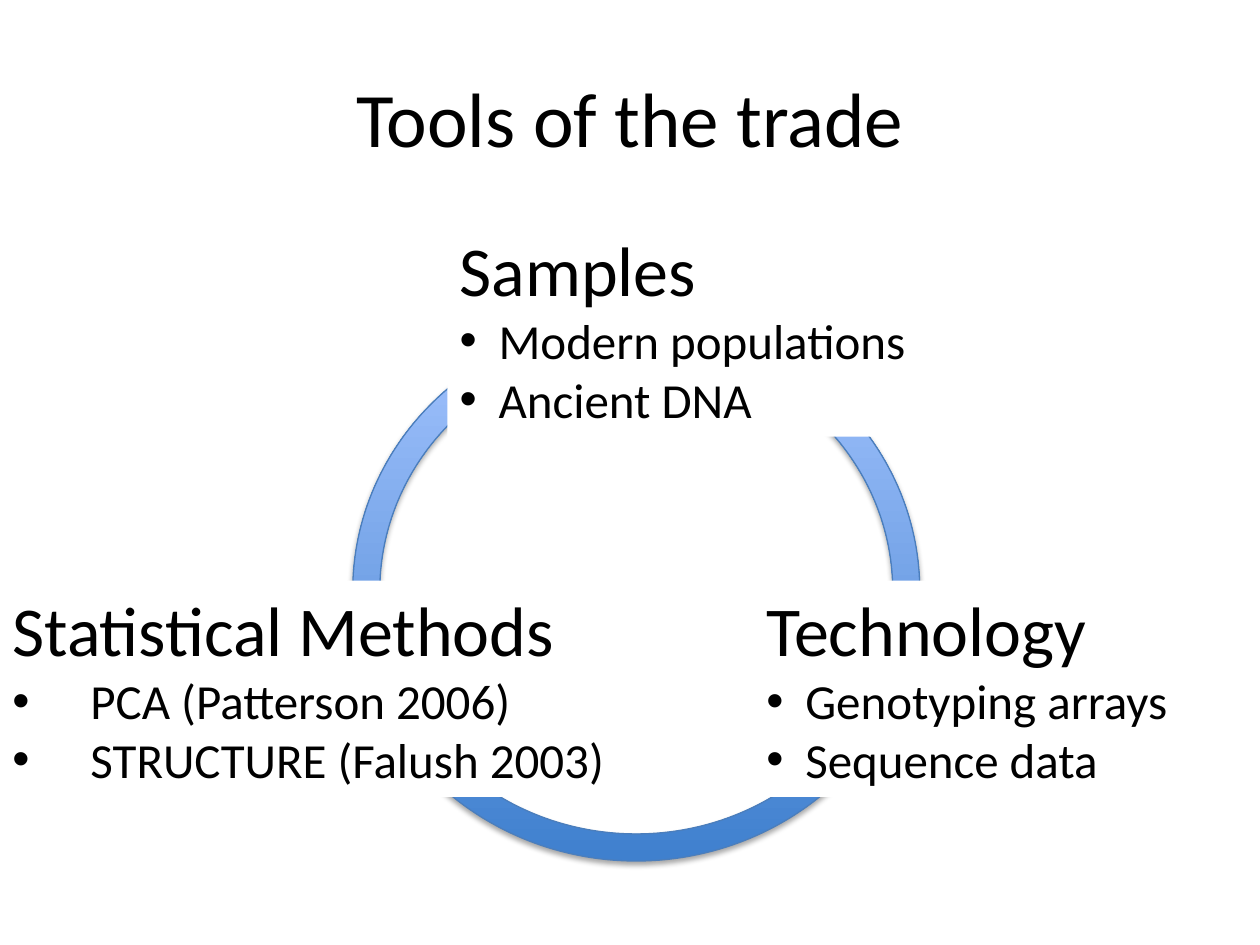
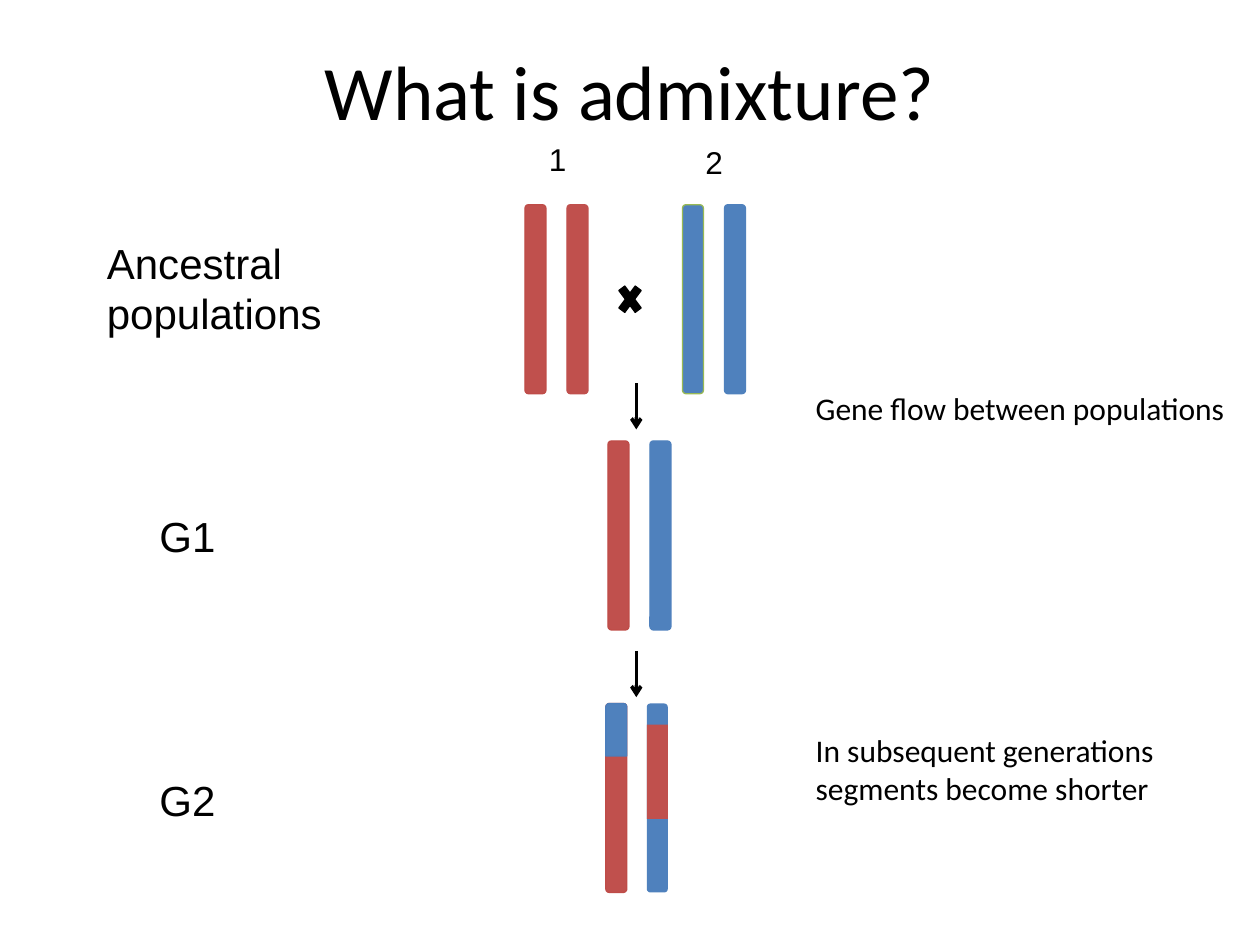
from dataclasses import dataclass
from typing import Optional

from lxml.etree import SubElement
from pptx import Presentation
from pptx.dml.color import RGBColor
from pptx.enum.shapes import MSO_CONNECTOR, MSO_SHAPE
from pptx.enum.text import MSO_ANCHOR, MSO_AUTO_SIZE, PP_ALIGN
from pptx.oxml.ns import qn
from pptx.util import Emu, Inches, Pt

COLS, ROWS = 120, 90  # the slide grid; every cell is square
CELL = Inches(10) // COLS


@dataclass(frozen=True)
class Theme:
    text: str = "000000"
    paper: str = "FFFFFF"
    red: str = "C0504D"
    red_edge: str = "BF4C48"
    blue: str = "4F81BD"
    blue_edge: str = "4B7EBC"
    green_edge: str = "98B955"
    ring_dark: str = "3F80CE"
    ring_light: str = "A4C4FF"
    body_font: str = "Calibri"
    label_font: str = "Arial"
    title_size: float = 44
    heading_size: float = 40
    bullet_size: float = 28
    label_size: float = 24
    note_size: float = 18
    thin: float = 0.75
    arrow: float = 2


T = Theme()


@dataclass(frozen=True)
class Box:
    """A place on the grid, in columns and rows."""
    col: float
    row: float
    cols: float
    rows: float

    def emu(self) -> tuple[Emu, ...]:
        return tuple(grid(n) for n in (self.col, self.row, self.cols, self.rows))


@dataclass(frozen=True)
class Tool:
    heading: str
    bullets: tuple[str, ...]
    box: Box
    indent: float = 0.31
    wrap: bool = False


@dataclass(frozen=True)
class Segment:
    """A chromosome, or a stretch of one."""
    col: float
    row: float
    fill: str
    line: Optional[str] = None
    rows: float = 18
    kind: MSO_SHAPE = MSO_SHAPE.ROUNDED_RECTANGLE


@dataclass(frozen=True)
class Label:
    text: str
    box: Box
    size: float = T.label_size
    font: str = T.label_font
    wrap: bool = True


TOOLS = (
    Tool("Samples", ("Modern populations", "Ancient DNA"),
         Box(42.6, 21, 45.1, 20.6)),
    Tool("Statistical Methods", ("PCA (Patterson 2006)", "STRUCTURE (Falush 2003)"),
         Box(0, 55.3, 61.4, 20.6), indent=0.62, wrap=True),
    Tool("Technology", ("Genotyping arrays", "Sequence data"),
         Box(71.8, 55.3, 41.2, 20.6)),
)

ANCESTORS, G1, G2 = 19.5, 42, 67  # top row of each generation
SEGMENTS = (
    Segment(50, ANCESTORS, T.red, T.red_edge),
    Segment(54, ANCESTORS, T.red, T.red),
    Segment(65, ANCESTORS, T.blue, T.green_edge),
    Segment(69, ANCESTORS, T.blue, T.blue),
    Segment(57.9, G1, T.red, T.red_edge),
    Segment(61.9, G1, T.blue, T.blue),
    Segment(57.7, G2, T.red, T.red_edge),
    Segment(61.6, G2, T.blue),
    Segment(61.6, G2 + 2, T.red, rows=9, kind=MSO_SHAPE.RECTANGLE),
    Segment(57.7, G2, T.blue, T.blue_edge, rows=5,
            kind=MSO_SHAPE.ROUND_2_SAME_RECTANGLE),
)

LABELS = (
    Label("Ancestral populations", Box(9, 22, 28, 11)),
    Label("G1", Box(14, 48, 10, 6)),
    Label("G2", Box(14, 73.2, 12.6, 6)),
    Label("1", Box(51.1, 12.7, 4, 8.5), T.note_size),
    Label("2", Box(66, 13, 4, 8.5), T.note_size),
    Label("Gene flow between populations", Box(76.5, 36.5, 41.9, 4.8),
          T.note_size, T.body_font, wrap=False),
    Label("In subsequent generations segments become shorter",
          Box(76.5, 69, 40, 8.5), T.note_size, T.body_font),
)


def grid(n: float) -> Emu:
    return Emu(round(n * CELL))


def rgb(color: str) -> RGBColor:
    return RGBColor.from_string(color)


def write(p, text: str, *, size: float, font: str = T.body_font,
          color: str = T.text, align=PP_ALIGN.LEFT, indent: float = 0) -> None:
    """Put formatted text in a paragraph; an indent makes it a bullet."""
    p.alignment = align
    if indent:
        pPr = p._p.get_or_add_pPr()
        pPr.set("marL", str(Inches(indent)))
        pPr.set("indent", str(-Inches(indent)))
        SubElement(pPr, qn("a:buFont")).set("typeface", T.label_font)
        SubElement(pPr, qn("a:buChar")).set("char", "•")
    r = p.add_run()
    r.text = text
    r.font.size = Pt(size)
    r.font.name = font
    r.font.color.rgb = rgb(color)


def add_text_box(slide, box: Box, wrap: bool = True):
    sp = slide.shapes.add_textbox(*box.emu())
    sp.text_frame.word_wrap = wrap
    sp.text_frame.auto_size = MSO_AUTO_SIZE.SHAPE_TO_FIT_TEXT
    return sp


def add_title(slide, text: str, row: float) -> None:
    tf = add_text_box(slide, Box(6, row, COLS - 12, 15)).text_frame
    tf.auto_size = MSO_AUTO_SIZE.NONE
    tf.vertical_anchor = MSO_ANCHOR.MIDDLE
    write(tf.paragraphs[0], text, size=T.title_size, align=PP_ALIGN.CENTER)


def add_figure(slide, kind: MSO_SHAPE, box: Box, fill: str, line: Optional[str]):
    sp = slide.shapes.add_shape(kind, *box.emu())
    sp.shadow.inherit = False
    sp.fill.solid()
    sp.fill.fore_color.rgb = rgb(fill)
    if line:
        sp.line.color.rgb = rgb(line)
        sp.line.width = Pt(T.thin)
    else:
        sp.line.fill.background()
    return sp


def add_ring(slide) -> None:
    """Draw the shaded ring with its soft shadow below."""
    sp = add_figure(slide, MSO_SHAPE.DONUT, Box(33.6, 30.5, 54, 51.5),
                    T.ring_dark, T.blue_edge)
    sp.adjustments[0] = 0.05
    sp.fill.gradient()
    sp.fill.gradient_angle = 90
    for stop, color in zip(sp.fill.gradient_stops, (T.ring_dark, T.ring_light)):
        stop.color.rgb = rgb(color)
    effects = sp._element.spPr.find(qn("a:effectLst"))
    shadow = SubElement(effects, qn("a:outerShdw"), blurRad=str(Pt(3.1)),
                        dist=str(Pt(1.8)), dir="5400000", rotWithShape="0")
    color = SubElement(shadow, qn("a:srgbClr"), val=T.text)
    SubElement(color, qn("a:alpha"), val="35000")


def add_tool(slide, tool: Tool) -> None:
    sp = add_text_box(slide, tool.box, tool.wrap)
    sp.fill.solid()
    sp.fill.fore_color.rgb = rgb(T.paper)
    tf = sp.text_frame
    write(tf.paragraphs[0], tool.heading, size=T.heading_size)
    for bullet in tool.bullets:
        write(tf.add_paragraph(), bullet, size=T.bullet_size, indent=tool.indent)


def add_down_arrow(slide, col: float, row: float, rows: float = 4.4) -> None:
    cxn = slide.shapes.add_connector(MSO_CONNECTOR.STRAIGHT, grid(col), grid(row),
                                     grid(col), grid(row + rows))
    cxn.line.color.rgb = rgb(T.text)
    cxn.line.width = Pt(T.arrow)
    SubElement(cxn.line._get_or_add_ln(), qn("a:tailEnd"), type="arrow")
    SubElement(cxn._element.spPr, qn("a:effectLst"))


def build_tools(slide) -> None:
    add_ring(slide)
    add_title(slide, "Tools of the trade", 3.6)
    for tool in TOOLS:
        add_tool(slide, tool)


def build_admixture(slide) -> None:
    add_title(slide, "What is admixture?", 1)
    for s in SEGMENTS:
        add_figure(slide, s.kind, Box(s.col, s.row, 2, s.rows), s.fill, s.line)
    add_figure(slide, MSO_SHAPE.MATH_MULTIPLY, Box(58.5, 26.5, 3, 4), T.text, T.text)
    for row in (36.5, 62):
        add_down_arrow(slide, 60.6, row)
    for label in LABELS:
        tf = add_text_box(slide, label.box, label.wrap).text_frame
        write(tf.paragraphs[0], label.text, size=label.size, font=label.font)


def main() -> None:
    prs = Presentation()
    prs.slide_width, prs.slide_height = grid(COLS), grid(ROWS)
    for build in (build_tools, build_admixture):
        build(prs.slides.add_slide(prs.slide_layouts[6]))
    prs.save("out.pptx")


if __name__ == "__main__":
    main()
